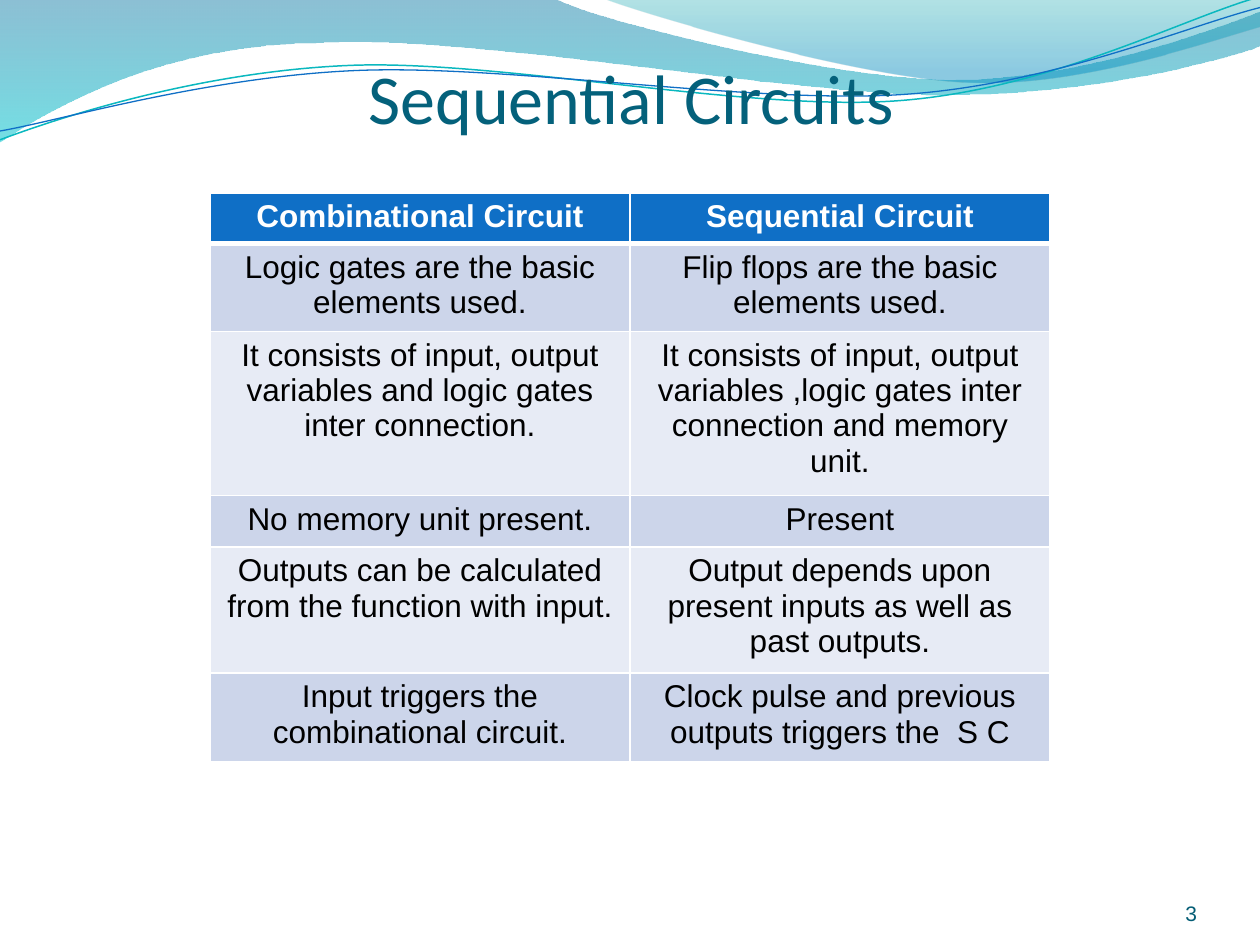
from lxml.etree import SubElement as add_element
from pptx import Presentation
from pptx.dml.color import RGBColor
from pptx.enum.text import MSO_ANCHOR as Anchor, PP_ALIGN as Align
from pptx.oxml.ns import qn
from pptx.util import Inches, Pt

WIDTH, HEIGHT = Inches(10), Inches(7.5)
BANDS = ("CCD5EA", "E7EBF5")

# Waves in inches: a pair is a straight step, six numbers are a Bézier curve.
BROAD_WAVE = [
    (0, -0.01), (4.4, -0.01),
    (4.76, 0.17, 6.64, 0.63, 7.58, 0.63), (8.53, 0.63, 9.58, 0.26, 10, 0.09),
    (10.01, 0.36),
    (9.83, 0.44, 8.7, 0.76, 7.46, 0.75), (6.22, 0.75, 3.82, 0.28, 2.57, 0.34),
    (1.29, 0.35, 0.46, 0.83, -0.01, 1.13),
]
RIGHT_WAVE = [
    (4.79, -0.01),
    (5.09, 0.11, 6.82, 0.62, 7.69, 0.65), (8.56, 0.69, 9.61, 0.32, 10, 0.21),
    (10, 0),
]
TEAL_LINE = [
    (0, 1.11),
    (0.48, 0.93, 1.58, 0.57, 2.77, 0.52), (3.95, 0.47, 5.93, 0.89, 7.13, 0.8),
    (8.33, 0.71, 9.38, 0.15, 9.98, -0.02),
]
BLUE_LINE = [
    (0, 1.04),
    (0.47, 0.96, 1.64, 0.61, 2.83, 0.56), (4.03, 0.51, 5.97, 0.83, 7.17, 0.75),
    (8.36, 0.67, 9.41, 0.21, 10, 0.06),
]

# Each row: height in inches, then its texts.
COMPARISON = [
    (0.39, "Combinational Circuit", "Sequential Circuit"),
    (0.66, "Logic gates are the basic elements used.",
     "Flip flops are the basic elements used."),
    (1.22, "It consists of input, output variables and logic gates inter connection.",
     "It consists of input, output variables ,logic gates inter connection and memory unit."),
    (0.41, "No memory unit present.", "Present"),
    (0.94, "Outputs can be calculated from the function with input.",
     "Output depends upon present inputs as well as past outputs."),
    (0.66, "Input triggers the combinational circuit.",
     "Clock pulse and previous outputs triggers the  S C"),
]


def color(code):
    return RGBColor.from_string(code)


def place(left, top, width, height):
    """Turn shares of the slide's size into lengths."""
    return (int(left * WIDTH), int(top * HEIGHT),
            int(width * WIDTH), int(height * HEIGHT))


def add_wave(page, steps, closed):
    """Build the outline through all points, then join each curve's three into one."""
    points = [(Inches(step[i]), Inches(step[i + 1]))
              for step in steps for i in range(0, len(step), 2)]
    builder = page.shapes.build_freeform(*points[0])
    builder.add_line_segments(points[1:], close=closed)
    wave = builder.convert_to_shape()
    wave.shadow.inherit = False
    lines = iter(list(wave.element.iter(qn("a:lnTo"))))
    for step in steps[1:]:
        line = next(lines)
        if len(step) == 6:
            line.tag = qn("a:cubicBezTo")
            for other in (next(lines), next(lines)):
                line.append(other[0])
                other.getparent().remove(other)
    return wave


def add_filled_wave(page, steps, stops):
    """Draw a wave filled from top to bottom; a stop is position, colour, opacity."""
    wave = add_wave(page, steps, True)
    wave.line.fill.background()
    wave.fill.gradient()
    wave.fill.gradient_angle = 270
    for stop, (position, code, _) in zip(wave.fill.gradient_stops, stops):
        stop.position = position
        stop.color.rgb = color(code)
    shades = wave.element.spPr.iter(qn("a:srgbClr"))
    for shade, (_, _, opacity) in zip(shades, stops):
        add_element(shade, qn("a:alpha"), val=str(int(opacity * 100000)))


def add_line_wave(page, steps, code, weight):
    wave = add_wave(page, steps, False)
    wave.fill.background()
    wave.line.color.rgb = color(code)
    wave.line.width = Pt(weight)


def write(frame, text, align, font, size, code, bold=False):
    para = frame.paragraphs[0]
    para.alignment = align
    span = para.add_run()
    span.text = text
    span.font.name = font
    span.font.size = Pt(size)
    span.font.bold = bold
    span.font.color.rgb = color(code)


def add_text(page, area, text, align, font, size, code, top_inset=0):
    frame = page.shapes.add_textbox(*place(*area)).text_frame
    frame.word_wrap = True
    frame.vertical_anchor = Anchor.BOTTOM
    frame.margin_left = frame.margin_right = frame.margin_bottom = 0
    frame.margin_top = Inches(top_inset)
    write(frame, text, align, font, size, code)


def set_borders(cell, top, bottom):
    """Give a cell white borders, 1 point wide at its sides."""
    properties = cell._tc.get_or_add_tcPr()
    for side, weight in (("L", 1), ("R", 1), ("T", top), ("B", bottom)):
        line = add_element(properties, qn(f"a:ln{side}"), w=str(Pt(weight)))
        add_element(add_element(line, qn("a:solidFill")), qn("a:srgbClr"), val="FFFFFF")


def add_comparison(page, left, top, width, rows):
    height = sum(row[0] for row in rows) / 7.5
    area = place(left, top, width, height)
    table = page.shapes.add_table(len(rows), len(rows[0]) - 1, *area).table
    for index, (row_height, *texts) in enumerate(rows):
        header = index == 0
        table.rows[index].height = Inches(row_height)
        for column, text in enumerate(texts):
            cell = table.cell(index, column)
            set_borders(cell, 3 if index == 1 else 1, 3 if header else 1)
            cell.fill.solid()
            cell.fill.fore_color.rgb = color("0F6FC6" if header else BANDS[(index - 1) % 2])
            write(cell.text_frame, text, Align.CENTER, "Arial", 18,
                  "FFFFFF" if header else "000000", header)


def main():
    deck = Presentation()
    deck.slide_width, deck.slide_height = WIDTH, HEIGHT
    page = deck.slides.add_slide(deck.slide_layouts[6])
    add_filled_wave(page, BROAD_WAVE, [(0, "0074A1", 0.45), (1, "00C6CF", 0.55)])
    add_filled_wave(page, RIGHT_WAVE, [(0, "00A1A9", 0.3), (0.8, "008BBF", 0.45)])
    add_line_wave(page, TEAL_LINE, "0AB8BF", 0.85)
    add_line_wave(page, BLUE_LINE, "0F6FC6", 0.75)
    add_text(page, (8.67 / 10, 6.95 / 7.5, 0.83 / 10, 0.4 / 7.5), "3", Align.RIGHT,
             "Arial", 12, "045D75")
    add_text(page, (0.75 / 10, 0, 8.52 / 10, 1.1 / 7.5), "Sequential Circuits",
             Align.CENTER, "Calibri", 40, "04617B", top_inset=0.05)
    add_comparison(page, 1 / 6, 1.53 / 7.5, 2 / 3, COMPARISON)
    deck.save("out.pptx")


if __name__ == "__main__":
    main()
